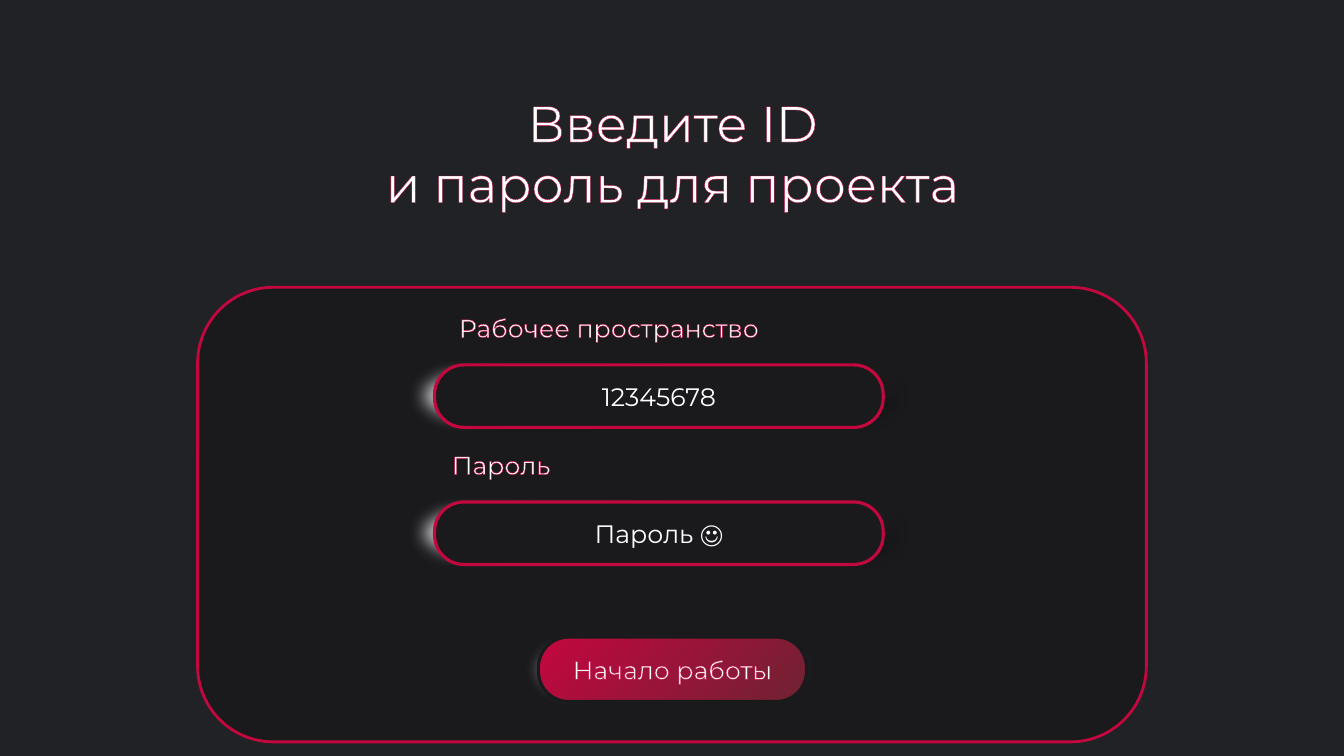
from lxml import etree
from pptx import Presentation
from pptx import util as u
from pptx.dml.color import RGBColor
from pptx.enum import shapes, text
from pptx.oxml import ns

BACKGROUND = RGBColor(0x20, 0x22, 0x25)
PANEL = RGBColor(0x1A, 0x1A, 0x1D)
WHITE = RGBColor(0xFF, 0xFF, 0xFF)
CRIMSON = RGBColor(0xC3, 0x07, 0x3F)
WINE = RGBColor(0x6F, 0x22, 0x32)
SILVER = RGBColor(0xB8, 0xB8, 0xB8)
GREY = RGBColor(0x4D, 0x4D, 0x4D)
CHARCOAL = RGBColor(0x2D, 0x2D, 0x2D)
BLACK = RGBColor(0x00, 0x00, 0x00)

FIELD_GLOW = [(0, WHITE), (22, SILVER), (48, GREY), (79, CHARCOAL), (100, BLACK)]
BUTTON_GLOW = [(0, WHITE), (23, SILVER), (48, GREY), (87, CHARCOAL), (100, BLACK)]
BUTTON_FILL = [(0, CRIMSON), (100, WINE)]


def add_child(parent, tag, **attributes):
    return etree.SubElement(parent, ns.qn(tag), attributes)


def write_text(frame, content, size=18, outlined=False):
    """Fill a text frame with centred lines, one paragraph per line."""
    for index, line in enumerate(content.split("\n")):
        paragraph = frame.paragraphs[0] if index == 0 else frame.add_paragraph()
        paragraph.alignment = text.PP_ALIGN.CENTER
        run = paragraph.add_run()
        run.text = line
        run.font.name = "Montserrat"
        run.font.size = u.Pt(size)
        run.font.color.rgb = WHITE
        if outlined:
            properties = run.font._element
            outline = add_child(properties, "a:ln", w=str(u.Pt(0.75)))
            add_child(add_child(outline, "a:solidFill"), "a:srgbClr", val=str(CRIMSON))
            properties.insert(0, outline)


class LoginSlide:
    def __init__(self, presentation):
        self.slide = presentation.slides.add_slide(presentation.slide_layouts[6])
        self.slide.background.fill.solid()
        self.slide.background.fill.fore_color.rgb = BACKGROUND

    def label(self, box, content, **text_format):
        shape = self.slide.shapes.add_textbox(*map(u.Inches, box))
        shape.text_frame.word_wrap = True
        shape.text_frame.auto_size = text.MSO_AUTO_SIZE.SHAPE_TO_FIT_TEXT
        write_text(shape.text_frame, content, outlined=True, **text_format)

    def pill(self, box, fill, line=None, width=2.25, rounding=0.47, parent=None):
        """Draw a rounded box; a list of stops as fill gives a gradient."""
        shape = (parent or self.slide).shapes.add_shape(
            shapes.MSO_SHAPE.ROUNDED_RECTANGLE, *map(u.Inches, box))
        shape.shadow.inherit = False
        shape.adjustments[0] = rounding
        if isinstance(fill, list):
            shape.fill.gradient()
            shape.fill.gradient_angle = 315
            stops = shape._element.spPr.find(".//" + ns.qn("a:gsLst"))
            for stop in list(stops):
                stops.remove(stop)
            for position, color in fill:
                stop = add_child(stops, "a:gs", pos=str(position * 1000))
                add_child(stop, "a:srgbClr", val=str(color))
        else:
            shape.fill.solid()
            shape.fill.fore_color.rgb = fill
        if line is None:
            shape.line.fill.background()
        else:
            shape.line.color.rgb = line
            shape.line.width = u.Pt(width)
        return shape

    def glowing_pill(self, glow_box, glow, box, fill, line, content, **text_format):
        """Group a captioned pill with the soft glow behind it."""
        group = self.slide.shapes.add_group_shape()
        halo = self.pill(glow_box, glow, parent=group)
        effects = halo._element.spPr.find(ns.qn("a:effectLst"))
        add_child(effects, "a:softEdge", rad=str(u.Pt(12.5)))
        front = self.pill(box, fill, line, parent=group)
        front.text_frame.vertical_anchor = text.MSO_ANCHOR.MIDDLE
        write_text(front.text_frame, content, **text_format)


def main():
    presentation = Presentation()
    presentation.slide_width = u.Inches(13.33)
    presentation.slide_height = u.Inches(7.5)
    login = LoginSlide(presentation)

    # Heading and panel
    login.label((3.34, 0.86, 6.66, 1.31), "Введите ID\nи пароль для проекта", size=36)
    login.pill((1.96, 2.85, 9.41, 4.51), PANEL, CRIMSON, width=2, rounding=0.1667)

    # Input fields with their labels
    fields = [("Рабочее пространство", 3.46, "12345678"), ("Пароль", 1.32, "Пароль ☺")]
    for row, (caption, caption_width, value) in enumerate(fields):
        top = 3.05 + row * 1.36
        login.glowing_pill((3.99, top + 0.52, 5.08, 0.71), FIELD_GLOW,
                           (4.31, top + 0.57, 4.45, 0.62), PANEL, CRIMSON, value)
        login.label((4.31, top, caption_width, 0.4), caption)

    # Start button
    login.glowing_pill((5.15, 6.28, 3.03, 0.73), BUTTON_GLOW,
                       (5.34, 6.32, 2.66, 0.64), BUTTON_FILL, PANEL,
                       "Начало работы", outlined=True)

    presentation.save("out.pptx")


if __name__ == "__main__":
    main()
